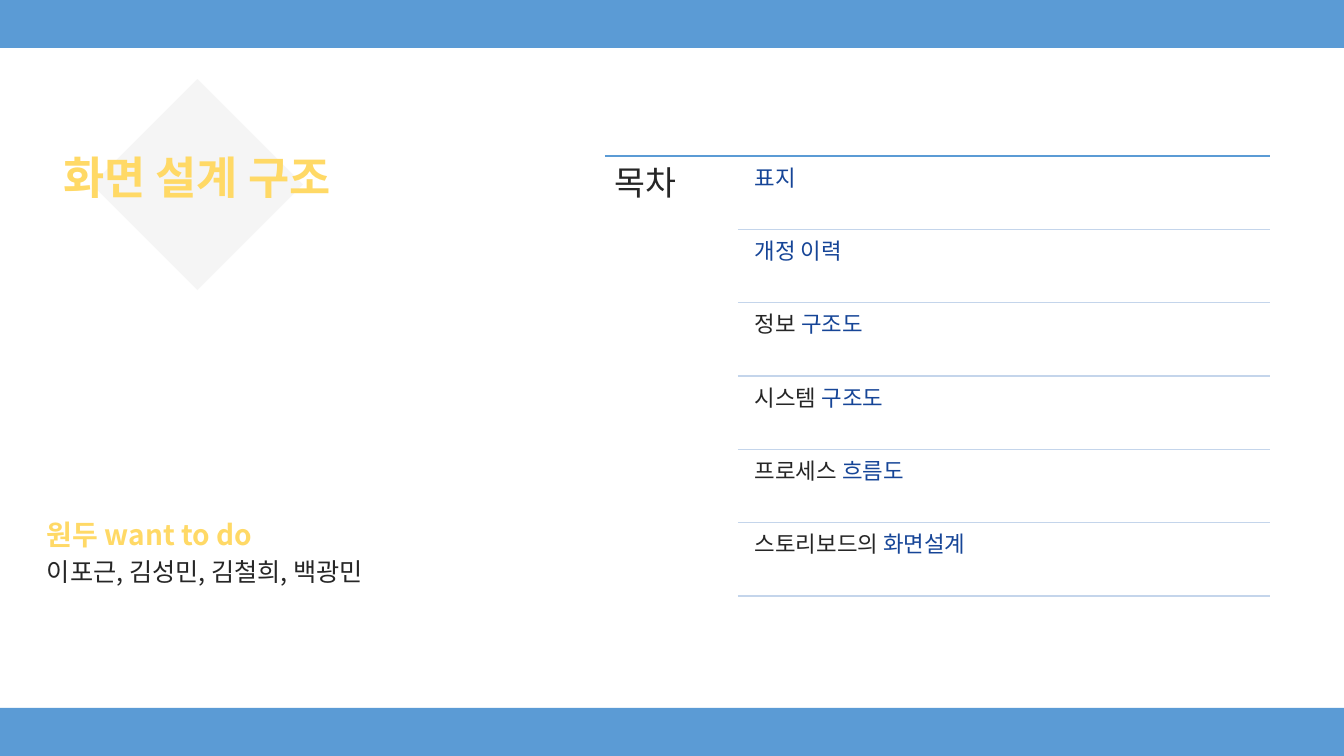
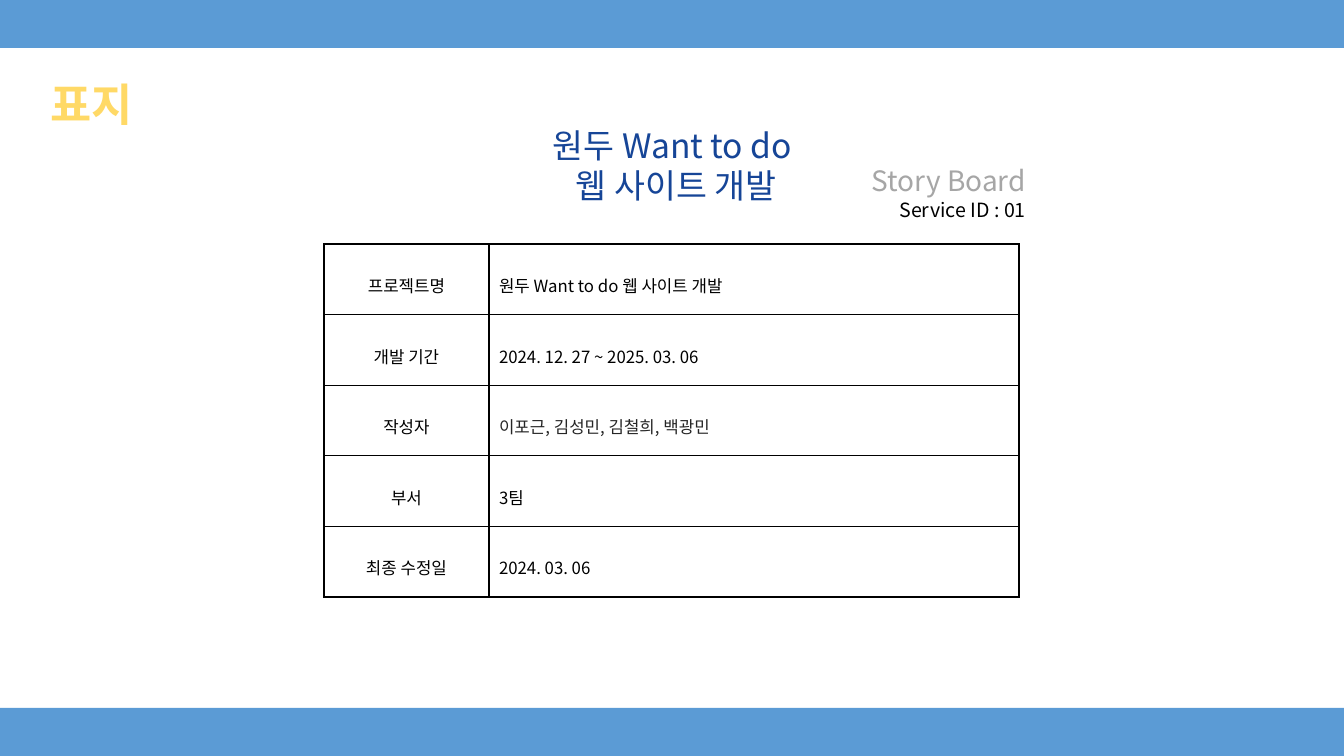
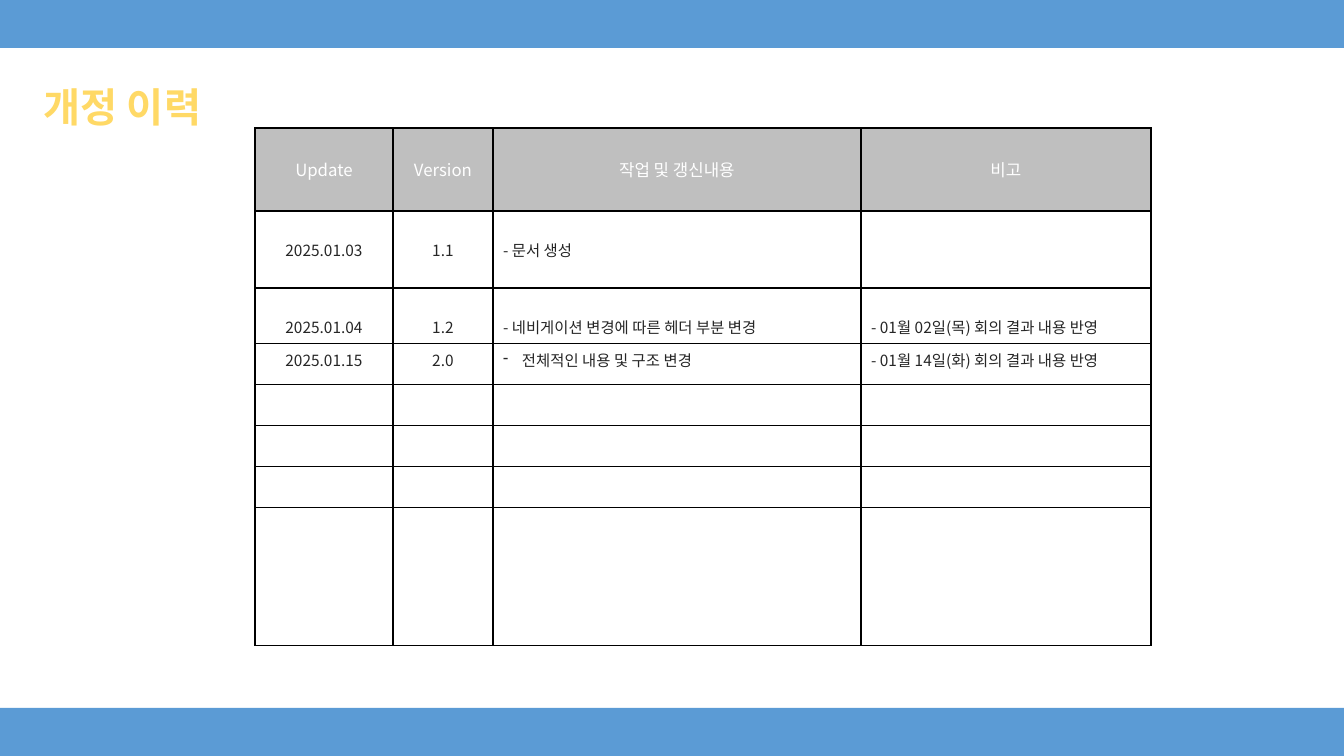
from dataclasses import dataclass
from itertools import accumulate

from lxml.etree import SubElement
from pptx import Presentation
from pptx.dml.color import RGBColor
from pptx.enum.shapes import MSO_CONNECTOR, MSO_SHAPE
from pptx.enum.text import MSO_ANCHOR, MSO_AUTO_SIZE, PP_ALIGN
from pptx.oxml.ns import qn
from pptx.util import Emu, Pt


@dataclass(frozen=True)
class Theme:
    font: str = "Noto Sans CJK KR"
    band: str = "5B9BD5"
    rule: str = "C4D5EB"
    gold: str = "FFD966"
    navy: str = "164597"
    ink: str = "262626"
    black: str = "000000"
    white: str = "FFFFFF"
    gray: str = "A6A6A6"
    header: str = "BFBFBF"
    diamond: str = "F2F2F2"
    title: float = 32
    title_small: float = 28.8
    heading: float = 24
    lead: float = 20
    names: float = 18
    item: float = 16
    note: float = 14
    cell: float = 12
    cell_small: float = 11


THEME = Theme()
PAGE_WIDTH, PAGE_HEIGHT, BAND_HEIGHT = 1344, 756, 48
PAD = 5
LEFT, CENTER, RIGHT = PP_ALIGN.LEFT, PP_ALIGN.CENTER, PP_ALIGN.RIGHT

TEAM = "이포근, 김성민, 김철희, 백광민"
AGENDA = [
    ("", "표지"),
    ("", "개정 이력"),
    ("정보", " 구조도"),
    ("시스템 ", "구조도"),
    ("프로세스 ", "흐름도"),
    ("스토리보드의 ", "화면설계"),
]
PROJECT = [
    ("프로젝트명", "원두 Want to do 웹 사이트 개발", THEME.black),
    ("개발 기간", "2024. 12. 27 ~ 2025. 03. 06", THEME.black),
    ("작성자", TEAM, THEME.ink),
    ("부서", "3팀", THEME.black),
    ("최종 수정일", "2024. 03. 06", THEME.black),
]
HISTORY_HEAD = ("Update", "Version", "작업 및 갱신내용", "비고")
EMPTY_ROW = ("", "", "", "")
HISTORY = [
    ("2025.01.03", "1.1", "- 문서 생성", ""),
    ("2025.01.04", "1.2", "- 네비게이션 변경에 따른 헤더 부분 변경", "- 01월 02일(목) 회의 결과 내용 반영"),
    ("2025.01.15", "2.0", "전체적인 내용 및 구조 변경", "- 01월 14일(화) 회의 결과 내용 반영"),
    EMPTY_ROW, EMPTY_ROW, EMPTY_ROW, EMPTY_ROW,
]
HISTORY_BULLET = (2, 2)
HISTORY_COLUMNS = (138, 100, 368, 290)
HISTORY_HEIGHTS = (83, 77, 55, 41, 41, 41, 41, 138)
HISTORY_TOPS = (29, 28, 28)


def px(value):
    return Emu(round(value * 914400 / 100.8))


def color(value):
    return RGBColor.from_string(value)


def add_run(para, text, size, tint, bold=False):
    span = para.add_run()
    span.text = text
    span.font.size = Pt(size)
    span.font.name = THEME.font
    span.font.bold = bold
    span.font.color.rgb = color(tint)
    SubElement(span.font._element, qn("a:ea"), typeface=THEME.font)


def fill_frame(frame, paras, align=LEFT, spacing=None, gap=0, inset=None):
    frame.word_wrap = True
    frame.auto_size = MSO_AUTO_SIZE.NONE
    if inset:
        frame.margin_left = frame.margin_right = px(inset)
        frame.margin_top = frame.margin_bottom = px(inset)
    for index, runs in enumerate(paras):
        para = frame.add_paragraph() if index else frame.paragraphs[0]
        para.alignment = align
        if spacing:
            para.line_spacing = spacing
        if index and gap:
            para.space_before = Pt(gap)
        for run in runs:
            add_run(para, *run)


def add_text(page, place, paras, **style):
    box = page.shapes.add_textbox(*map(px, place))
    fill_frame(box.text_frame, paras, **style)


def add_block(page, kind, place, tint):
    block = page.shapes.add_shape(kind, *map(px, place))
    block.shadow.inherit = False
    block.fill.solid()
    block.fill.fore_color.rgb = color(tint)
    block.line.fill.background()
    return block


def add_rule(page, left, right, y, tint):
    rule = page.shapes.add_connector(MSO_CONNECTOR.STRAIGHT, px(left), px(y), px(right), px(y))
    rule.line.color.rgb = color(tint)
    rule.line.width = Pt(1)
    SubElement(rule._element.spPr, qn("a:effectLst"))


def add_page(deck, title, place, size=THEME.title):
    page = deck.slides.add_slide(deck.slide_layouts[5])
    for top in (PAGE_HEIGHT - BAND_HEIGHT, 0):
        add_block(page, MSO_SHAPE.RECTANGLE, (0, top, PAGE_WIDTH, BAND_HEIGHT), THEME.band)
    holder = page.shapes.title
    holder.left, holder.top, holder.width, holder.height = map(px, place)
    holder.text_frame.vertical_anchor = MSO_ANCHOR.BOTTOM
    fill_frame(holder.text_frame, [[(title, size, THEME.gold, True)]], align=CENTER, spacing=0.9)
    return page


def add_grid(page, left, top, widths, heights):
    frame = page.shapes.add_table(
        len(heights), len(widths), px(left), px(top), px(sum(widths)), px(sum(heights)))
    table = frame.table
    table.first_row = table.horz_banding = False
    for column, width in zip(table.columns, widths):
        column.width = px(width)
    edges = [0, *accumulate(heights)]
    for row, start, end in zip(table.rows, edges, edges[1:]):
        row.height = px(end) - px(start)
    return table


def fill_cell(cell, text, size, tint, align=LEFT, top=PAD, fill=None, bullet=False):
    cell.margin_top = px(top)
    cell.margin_bottom = px(PAD)
    para = cell.text_frame.paragraphs[0]
    para.alignment = align
    if bullet:
        settings = para._p.get_or_add_pPr()
        settings.set("marL", "171450")
        settings.set("indent", "-171450")
        SubElement(settings, qn("a:buChar"), char="-")
    if text:
        add_run(para, text, size, tint)
    else:
        SubElement(para._p, qn("a:endParaRPr"), sz=str(size * 100))
    borders = cell._tc.get_or_add_tcPr()
    for side in ("lnL", "lnR", "lnT", "lnB"):
        border = SubElement(borders, qn("a:" + side), w=str(Pt(1)))
        SubElement(SubElement(border, qn("a:solidFill")), qn("a:srgbClr"), val=THEME.black)
    if fill:
        cell.fill.solid()
        cell.fill.fore_color.rgb = color(fill)
    else:
        cell.fill.background()


def build_contents(deck):
    page = add_page(deck, "화면 설계 구조", (14, 131, 366, 78))
    diamond = add_block(page, MSO_SHAPE.DIAMOND, (92, 79, 211, 211), THEME.diamond)
    tint = diamond._element.spPr.find(qn("a:solidFill")).find(qn("a:srgbClr"))
    SubElement(tint, qn("a:alpha"), val="75000")
    page.shapes._spTree.insert(2, diamond._element)
    add_text(page, (37, 516, 493, 84), [
        [("원두 want to do", THEME.lead, THEME.gold, True)],
        [(TEAM, THEME.names, THEME.ink)],
    ], spacing=0.9, gap=6)

    left, indent, right, top, bottom = 605, 738, 1270, 156, 596
    pitch = (bottom - top) / len(AGENDA)
    add_rule(page, left, right, top, THEME.band)
    add_text(page, (left, top, indent - left, bottom - top),
             [[("목차", THEME.heading, THEME.ink)]], spacing=0.9, inset=10)
    for index, (plain, accent) in enumerate(AGENDA):
        y = top + index * pitch
        runs = [(plain, THEME.item, THEME.ink), (accent, THEME.item, THEME.navy)]
        add_text(page, (indent + 10, y + 4, right - indent - 10, 70),
                 [[run for run in runs if run[0]]], spacing=0.9, inset=7)
        add_rule(page, indent, right, y + pitch, THEME.rule)


def build_cover(deck):
    page = add_page(deck, "표지", (17, 58, 150, 78))
    add_text(page, (481, 120, 383, 92), [
        [("원두 Want to do", THEME.heading, THEME.navy)],
        [(" 웹 사이트 개발", THEME.heading, THEME.navy)],
    ], align=CENTER)
    height = 353 / len(PROJECT)
    table = add_grid(page, 324, 244, (165, 530), [height] * len(PROJECT))
    for row, (label, value, tint) in enumerate(PROJECT):
        fill_cell(table.cell(row, 0), label, THEME.cell, THEME.black, CENTER, top=29)
        fill_cell(table.cell(row, 1), value, THEME.cell, tint, top=29)
    add_text(page, (823, 159, 213, 68), [
        [("Story Board", THEME.lead, THEME.gray)],
        [("Service ID : 01", THEME.note, THEME.black)],
    ], align=RIGHT)


def build_history(deck):
    page = add_page(deck, "개정 이력", (17, 58, 211, 78), THEME.title_small)
    table = add_grid(page, 255, 128, HISTORY_COLUMNS, HISTORY_HEIGHTS)
    for column, label in enumerate(HISTORY_HEAD):
        fill_cell(table.cell(0, column), label, THEME.cell, THEME.white, CENTER,
                  top=HISTORY_TOPS[0], fill=THEME.header)
    for row, values in enumerate(HISTORY, start=1):
        top = HISTORY_TOPS[row] if row < len(HISTORY_TOPS) else PAD
        for column, value in enumerate(values):
            fill_cell(table.cell(row, column), value, THEME.cell_small, THEME.ink,
                      CENTER if column < 2 else LEFT, top=top,
                      bullet=(row - 1, column) == HISTORY_BULLET)


def main():
    deck = Presentation()
    deck.slide_width, deck.slide_height = px(PAGE_WIDTH), px(PAGE_HEIGHT)
    build_contents(deck)
    build_cover(deck)
    build_history(deck)
    deck.save("out.pptx")


if __name__ == "__main__":
    main()
